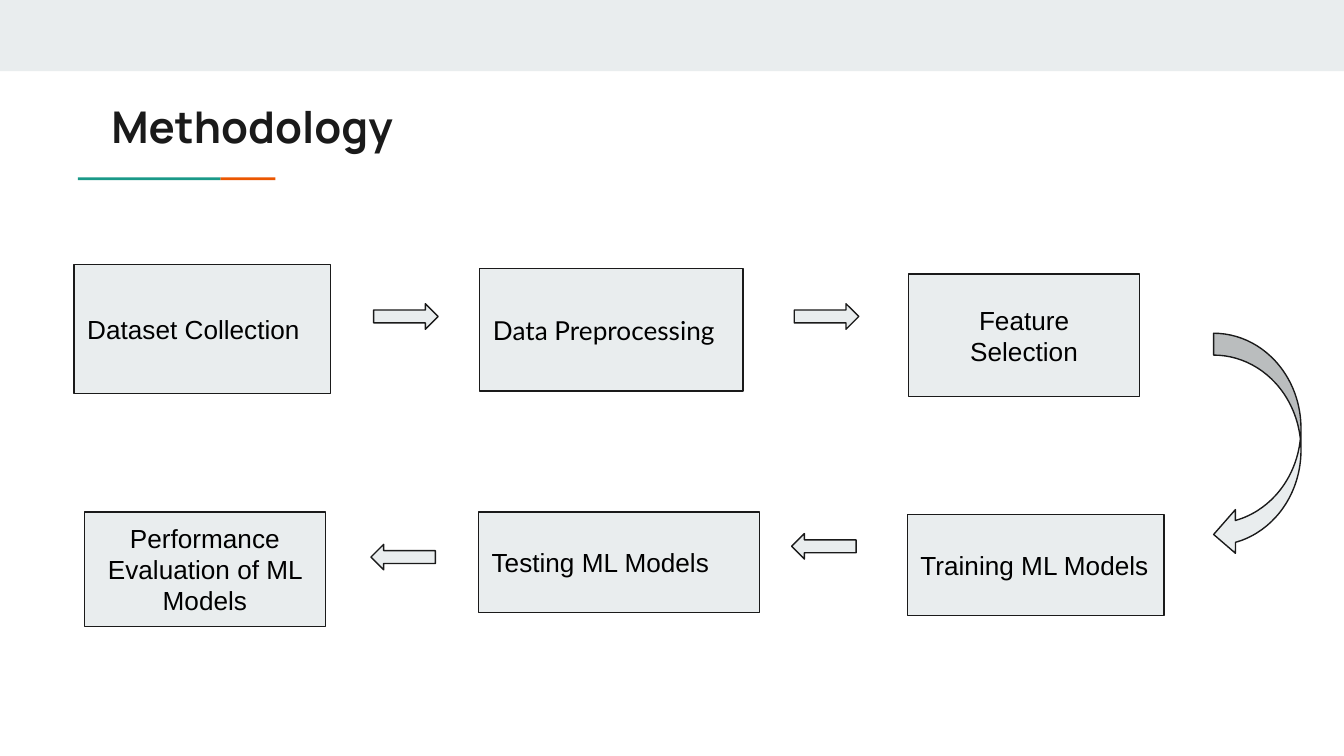
from pptx import Presentation
from pptx.dml.color import RGBColor
from pptx.enum.shapes import MSO_SHAPE
from pptx.enum.text import MSO_ANCHOR, PP_ALIGN
from pptx.util import Inches, Pt

RECTANGLE = MSO_SHAPE.RECTANGLE
RIGHT_ARROW = MSO_SHAPE.RIGHT_ARROW
LEFT_ARROW = MSO_SHAPE.LEFT_ARROW
CURVED_ARROW = MSO_SHAPE.CURVED_LEFT_ARROW
TOP, MIDDLE = MSO_ANCHOR.TOP, MSO_ANCHOR.MIDDLE
LEFT, CENTER = PP_ALIGN.LEFT, PP_ALIGN.CENTER

PALE = RGBColor(0xE9, 0xED, 0xEE)
INK = RGBColor(0x1A, 0x1A, 0x1A)
BLACK = RGBColor(0, 0, 0)
TEAL = RGBColor(0x1A, 0x99, 0x88)
ORANGE = RGBColor(0xEB, 0x56, 0x00)

TITLE_FORMAT = {"name": "Manrope", "size": Pt(23.4), "bold": True}
STEP_FORMAT = {"name": "Arial", "size": Pt(14)}

# Text, position and size, alignment, font
STEPS = [
    ("Dataset Collection", (0.55, 1.97, 1.91, 0.96), LEFT, "Arial"),
    ("Data Preprocessing", (3.57, 2, 1.96, 0.91), LEFT, "Lato"),
    ("Feature Selection", (6.76, 2.04, 1.72, 0.91), CENTER, "Arial"),
    ("Training ML Models", (6.75, 3.83, 1.91, 0.75), LEFT, "Arial"),
    ("Testing ML Models", (3.56, 3.81, 2.09, 0.75), LEFT, "Arial"),
    ("Performance Evaluation of ML Models", (0.63, 3.81, 1.79, 0.85), CENTER, "Arial"),
]

ARROW_SIZE = (0.48, 0.19)
ARROWS = [
    (RIGHT_ARROW, 2.78, 2.26),
    (RIGHT_ARROW, 5.91, 2.26),
    (LEFT_ARROW, 5.89, 3.97),
    (LEFT_ARROW, 2.76, 4.05),
]


def add_shape(page, kind, area, fill=PALE, outlined=True):
    shape = page.shapes.add_shape(kind, *map(Inches, area))
    shape.shadow.inherit = False
    shape.fill.solid()
    shape.fill.fore_color.rgb = fill
    if outlined:
        shape.line.color.rgb = INK
        shape.line.width = Pt(0.75)
    else:
        shape.line.fill.background()
    return shape


def write_text(box, text, font_format, color, anchor=MIDDLE, align=LEFT):
    frame = box.text_frame
    frame.word_wrap = True
    frame.vertical_anchor = anchor
    for side in ("left", "top", "right", "bottom"):
        setattr(frame, f"margin_{side}", Inches(0.1))
    para = frame.paragraphs[0]
    para.alignment = align
    span = para.add_run()
    span.text = text
    for key, value in font_format.items():
        setattr(span.font, key, value)
    span.font.color.rgb = color


def add_title(page, text, area):
    box = page.shapes.add_textbox(*map(Inches, area))
    write_text(box, text, TITLE_FORMAT, INK, anchor=TOP)


def add_step(page, text, area, align, font_name):
    box = add_shape(page, RECTANGLE, area)
    write_text(box, text, {**STEP_FORMAT, "name": font_name}, BLACK, align=align)


def main():
    # Widescreen page, 16:9
    deck = Presentation()
    deck.slide_width = Inches(10)
    deck.slide_height = Inches(10 * 9 / 16)
    page = deck.slides.add_slide(deck.slide_layouts[6])

    # Top band, title and two-colour rule
    add_shape(page, RECTANGLE, (0, 0, 10, 0.53), outlined=False)
    add_shape(page, RECTANGLE, (1.64, 1.32, 0.41, 0.02), ORANGE, outlined=False)
    add_shape(page, RECTANGLE, (0.58, 1.32, 1.06, 0.02), TEAL, outlined=False)
    add_title(page, "Methodology", (0.73, 0.64, 8.41, 0.59))

    # Process steps
    for step in STEPS:
        add_step(page, *step)

    # Arrows between the steps
    for kind, left, top in ARROWS:
        add_shape(page, kind, (left, top, *ARROW_SIZE))
    add_shape(page, CURVED_ARROW, (9.03, 2.48, 0.65, 1.66))

    deck.save("out.pptx")


if __name__ == "__main__":
    main()
